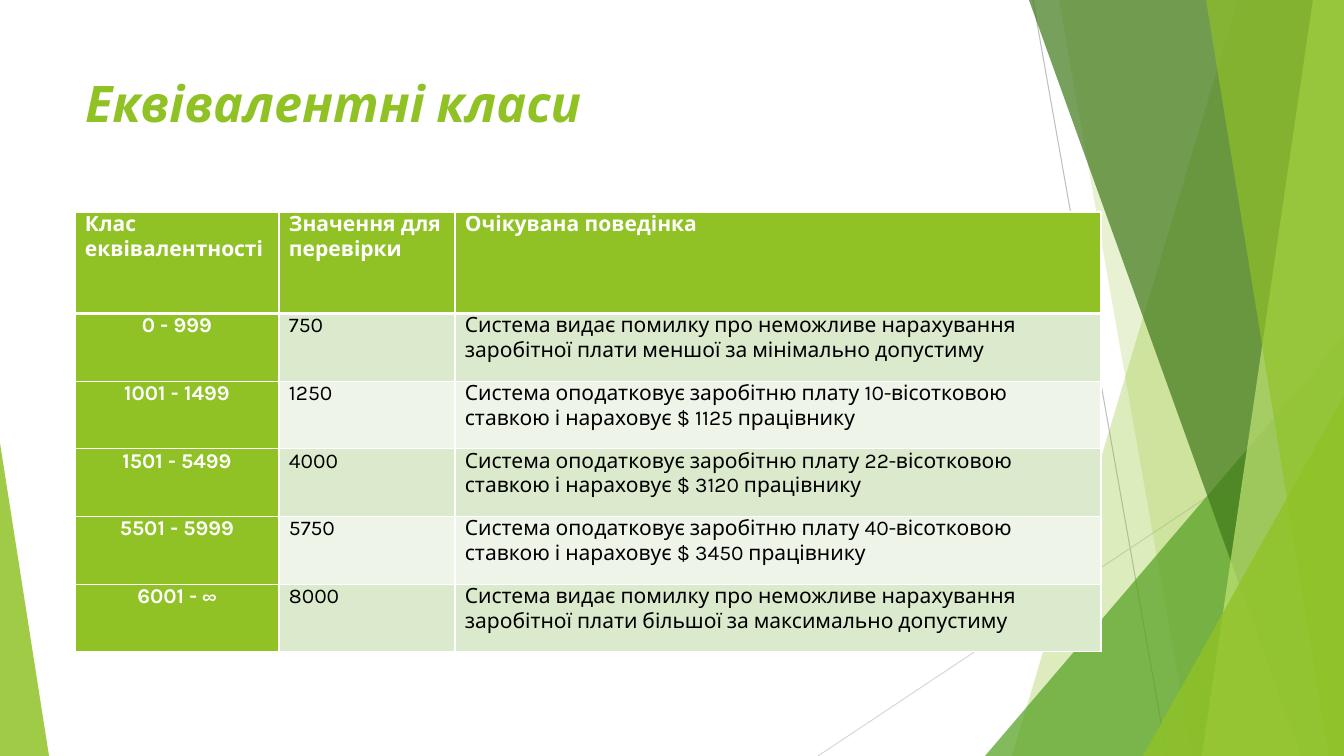
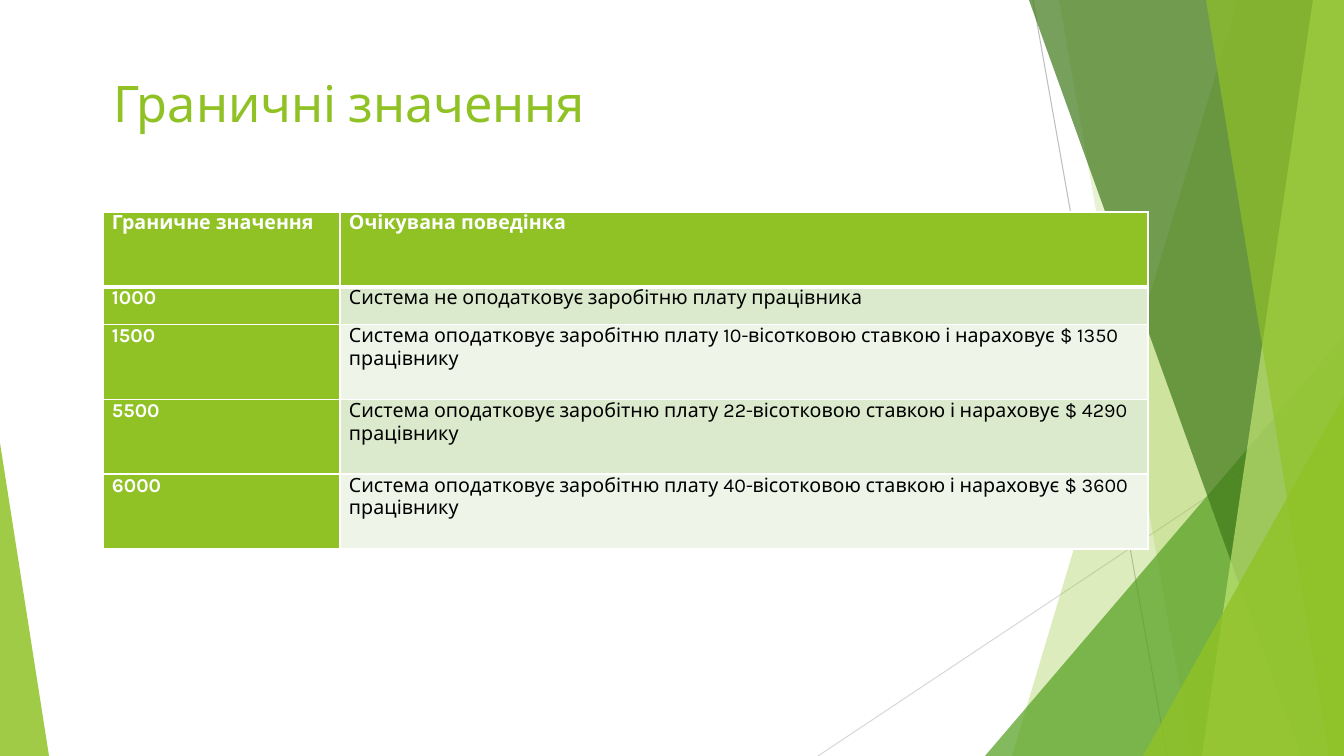
from dataclasses import dataclass

from lxml.etree import SubElement
from pptx import Presentation
from pptx.dml.color import RGBColor
from pptx.enum.shapes import MSO_CONNECTOR, MSO_SHAPE
from pptx.enum.text import MSO_ANCHOR, MSO_AUTO_SIZE, PP_ALIGN
from pptx.oxml.ns import qn
from pptx.util import Emu, Pt


@dataclass(frozen=True)
class Theme:
    font: str = "Karla"
    title_size: int = 36
    green: str = "90C226"
    leaf: str = "54A021"
    forest: str = "3F7819"
    lime: str = "C0E474"
    white: str = "FFFFFF"
    black: str = "000000"
    bands: tuple = ("DBE9CD", "EEF4E8")
    line_dark: str = "BFBFBF"
    line_light: str = "D9D9D9"
    border: int = 1
    header_border: int = 3
    cell_gap: int = 12


T = Theme()
SCALE = 914400 / 100.8
W, H = 1344, 756
TITLE_TOP, TITLE_W, TITLE_H = 67, 948, 145
TABLE_TOP = 212

DECOR = [
    ("line", (1033, 0, 1167, H), T.line_dark, 100),
    ("line", (W, 406, 818, H), T.line_light, 100),
    ("panel", (1238, 1012), T.green, 30),
    ("panel", (1059, 1192), T.green, 20),
    ("triangle", (985, 336, 359, 420, 1), T.leaf, 72),
    ("panel", (1029, 1301), T.forest, 70),
    ("panel", (1313, 1202), T.lime, 70),
    ("panel", (1206, 1329), T.green, 65),
    ("triangle", (1143, 396, 201, 360, 1), T.green, 80),
    ("triangle", (0, 443, 49, 313, 0), T.green, 85),
]

SLIDES = [
    {
        "title": "Еквівалентні класи", "emphasis": True, "left": 75,
        "cols": [204, 176, 646], "height": 440, "weights": [3, 2, 2, 2, 2, 2],
        "size": 15, "inset": 10, "label_align": PP_ALIGN.CENTER,
        "rows": [
            ("Клас еквівалентності", "Значення для перевірки", "Очікувана поведінка"),
            ("0 - 999", "750", "Система видає помилку про неможливе нарахування "
             "заробітної плати меншої за мінімально допустиму"),
            ("1001 - 1499", "1250", "Система оподатковує заробітню плату 10-вісотковою "
             "ставкою і нараховує $ 1125 працівнику"),
            ("1501 - 5499", "4000", "Система оподатковує заробітню плату 22-вісотковою "
             "ставкою і нараховує $ 3120 працівнику"),
            ("5501 - 5999", "5750", "Система оподатковує заробітню плату 40-вісотковою "
             "ставкою і нараховує $ 3450 працівнику"),
            ("6001 - ∞", "8000", "Система видає помилку про неможливе нарахування "
             "заробітної плати більшої за максимально допустиму"),
        ],
    },
    {
        "title": "Граничні значення", "emphasis": False, "left": 103,
        "cols": [237, 808], "height": 337, "weights": [2, 1, 2, 2, 2],
        "size": 14, "inset": 9, "label_align": PP_ALIGN.LEFT,
        "rows": [
            ("Граничне значення", "Очікувана поведінка"),
            ("1000", "Система не оподатковує заробітню плату працівника"),
            ("1500", "Система оподатковує заробітню плату 10-вісотковою "
             "ставкою і нараховує $ 1350 працівнику"),
            ("5500", "Система оподатковує заробітню плату 22-вісотковою "
             "ставкою і нараховує $ 4290 працівнику"),
            ("6000", "Система оподатковує заробітню плату 40-вісотковою "
             "ставкою і нараховує $ 3600 працівнику"),
        ],
    },
]


def px(n):
    return Emu(round(n * SCALE))


def rgb(color):
    return RGBColor.from_string(color)


def add_run(p, text, size, color, bold=False, italic=False):
    r = p.add_run()
    r.text = text
    f = r.font
    f.name, f.size, f.bold, f.italic = T.font, Pt(size), bold, italic
    f.color.rgb = rgb(color)


def draw_line(shapes, coords, color):
    cn = shapes.add_connector(MSO_CONNECTOR.STRAIGHT, *map(px, coords))
    cn.line.color.rgb = rgb(color)
    cn.line.width = Pt(0.75)
    SubElement(cn._element.spPr, qn("a:effectLst"))
    return cn


def draw_area(shapes, kind, coords, color, alpha):
    if kind == "panel":
        top_x, bottom_x = coords
        fb = shapes.build_freeform(top_x, 0, scale=SCALE)
        fb.add_line_segments([(W, 0), (W, H), (bottom_x, H)], close=True)
        sp = fb.convert_to_shape()
    else:
        *box, apex = coords
        sp = shapes.add_shape(MSO_SHAPE.ISOSCELES_TRIANGLE, *map(px, box))
        sp.adjustments[0] = apex
    sp.shadow.inherit = False
    sp.line.fill.background()
    sp.fill.solid()
    sp.fill.fore_color.rgb = rgb(color)
    clr = sp._element.spPr.find(qn("a:solidFill"))[0]
    SubElement(clr, qn("a:alpha"), val=str(alpha * 1000))
    return sp


def decorate(layout, s):
    for i, (kind, coords, color, alpha) in enumerate(DECOR):
        if kind == "line":
            part = draw_line(s.shapes, coords, color)
        else:
            part = draw_area(s.shapes, kind, coords, color, alpha)
        el = part._element
        el.find(".//" + qn("p:cNvPr")).set("id", str(100 + i))
        layout.shapes._spTree.insert(2 + i, el)


def add_title(s, data):
    title = s.shapes.title
    title.left, title.top = px(data["left"]), px(TITLE_TOP)
    title.width, title.height = px(TITLE_W), px(TITLE_H)
    tf = title.text_frame
    tf.word_wrap, tf.auto_size = True, MSO_AUTO_SIZE.NONE
    tf.vertical_anchor = MSO_ANCHOR.TOP
    p = tf.paragraphs[0]
    p.alignment = PP_ALIGN.LEFT
    add_run(p, data["title"], T.title_size, T.green, data["emphasis"], data["emphasis"])


def set_borders(cell, row):
    widths = {
        "lnL": T.border,
        "lnR": T.border,
        "lnT": T.header_border if row == 1 else T.border,
        "lnB": T.header_border if row == 0 else T.border,
    }
    tcPr = cell._tc.get_or_add_tcPr()
    for tag, width in widths.items():
        ln = SubElement(tcPr, qn("a:" + tag), w=str(Pt(width)))
        fill = SubElement(ln, qn("a:solidFill"))
        SubElement(fill, qn("a:srgbClr"), val=T.white)


def fill_cell(cell, text, row, col, data):
    strong = row == 0 or col == 0
    set_borders(cell, row)
    cell.fill.solid()
    cell.fill.fore_color.rgb = rgb(T.green if strong else T.bands[(row - 1) % 2])
    cell.margin_left = cell.margin_right = px(data["inset"])
    cell.margin_top = cell.margin_bottom = 0
    p = cell.text_frame.paragraphs[0]
    p.space_after = Pt(T.cell_gap)
    p.alignment = data["label_align"] if row and col == 0 else PP_ALIGN.LEFT
    add_run(p, text, data["size"], T.white if strong else T.black, strong)


def add_data_table(s, data):
    rows, cols, weights = data["rows"], data["cols"], data["weights"]
    frame = s.shapes.add_table(len(rows), len(cols), px(data["left"]), px(TABLE_TOP),
                               px(sum(cols)), px(data["height"]))
    table = frame.table
    table.horz_banding = False
    for column, width in zip(table.columns, cols):
        column.width = px(width)
    for i, values in enumerate(rows):
        table.rows[i].height = px(data["height"] * weights[i] / sum(weights))
        for j, text in enumerate(values):
            fill_cell(table.cell(i, j), text, i, j, data)


def main():
    prs = Presentation()
    prs.slide_width, prs.slide_height = px(W), px(H)
    layout = prs.slide_layouts[5]
    for i, data in enumerate(SLIDES):
        s = prs.slides.add_slide(layout)
        if i == 0:
            decorate(layout, s)
        add_title(s, data)
        add_data_table(s, data)
    prs.save("out.pptx")


if __name__ == "__main__":
    main()
